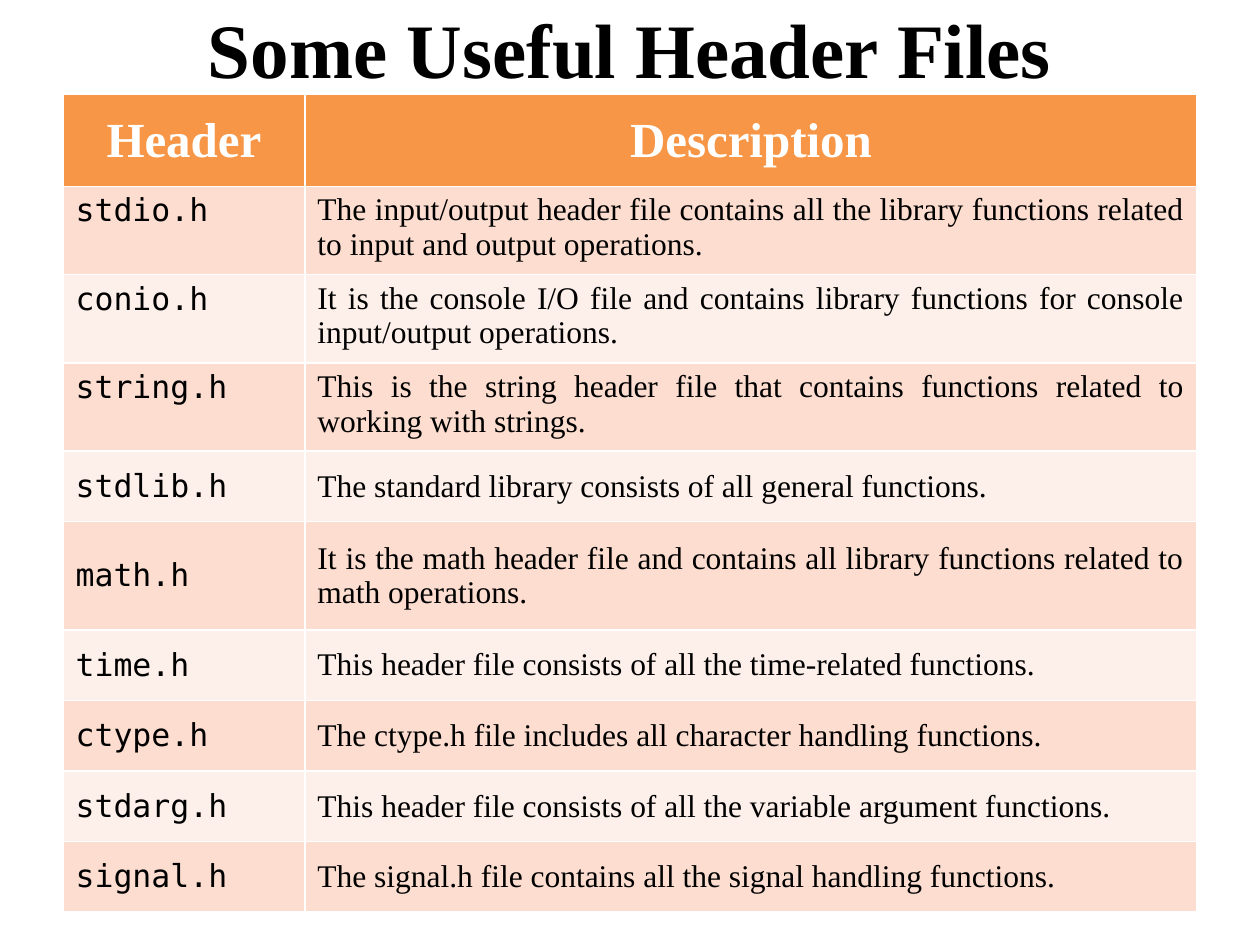
import pptx
import pptx.util
import pptx.dml.color
import pptx.enum.text

Inches = pptx.util.Inches
Pt = pptx.util.Pt
RGBColor = pptx.dml.color.RGBColor
PP_ALIGN = pptx.enum.text.PP_ALIGN
MSO_ANCHOR = pptx.enum.text.MSO_ANCHOR

BLACK = RGBColor(0x00, 0x00, 0x00)
WHITE = RGBColor(0xFF, 0xFF, 0xFF)
ORANGE = RGBColor(0xF7, 0x96, 0x46)
PEACH = RGBColor(0xFC, 0xDD, 0xCF)
PALE_PEACH = RGBColor(0xFD, 0xEF, 0xE9)
SERIF = "Times New Roman"
MONO = "DejaVu Sans Mono"

HEADER_FILES = [
    ("Header", "Description", 0.73),
    ("stdio.h", "The input/output header file contains all the library functions related to input and output operations.", 0.7),
    ("conio.h", "It is the console I/O file and contains library functions for console input/output operations.", 0.7),
    ("string.h", "This is the string header file that contains functions related to working with strings.", 0.7),
    ("stdlib.h", "The standard library consists of all general functions.", 0.56),
    ("math.h", "It is the math header file and contains all library functions related to math operations.", 0.86),
    ("time.h", "This header file consists of all the time-related functions.", 0.56),
    ("ctype.h", "The ctype.h file includes all character handling functions.", 0.56),
    ("stdarg.h", "This header file consists of all the variable argument functions.", 0.56),
    ("signal.h", "The signal.h file contains all the signal handling functions.", 0.56),
]
TOP_ANCHORED_ROWS = (1, 2, 3)


def format_paragraph(paragraph, alignment, font_name, size, color, bold):
    paragraph.alignment = alignment
    for run in paragraph.runs:
        run.font.name = font_name
        run.font.size = Pt(size)
        run.font.color.rgb = color
        run.font.bold = bold


presentation = pptx.Presentation()
presentation.slide_width = Inches(10)
presentation.slide_height = Inches(7.5)
slide = presentation.slides.add_slide(presentation.slide_layouts[5])

title = slide.shapes.title
title.left, title.top = Inches(0.5), Inches(-0.25)
title.width, title.height = Inches(9), Inches(1.25)
title.text_frame.text = "Some Useful Header Files"
title.text_frame.vertical_anchor = MSO_ANCHOR.MIDDLE
format_paragraph(title.text_frame.paragraphs[0], PP_ALIGN.CENTER, SERIF, 44, BLACK, True)

table_height = sum(height for _, _, height in HEADER_FILES)
header_table = slide.shapes.add_table(
    len(HEADER_FILES), 2, Inches(0.5), Inches(0.75), Inches(9), Inches(table_height)
).table
header_table.columns[0].width = Inches(1.92)
header_table.columns[1].width = Inches(7.08)

for row, (header, description, height) in enumerate(HEADER_FILES):
    header_table.rows[row].height = Inches(height)
    for column, wording in enumerate((header, description)):
        cell = header_table.cell(row, column)
        cell.text_frame.text = wording
        cell.fill.solid()
        paragraph = cell.text_frame.paragraphs[0]
        if row == 0:
            cell.fill.fore_color.rgb = ORANGE
            format_paragraph(paragraph, PP_ALIGN.CENTER, SERIF, 28, WHITE, True)
        else:
            cell.fill.fore_color.rgb = PEACH if row % 2 else PALE_PEACH
            font_name = SERIF if column else MONO
            format_paragraph(paragraph, PP_ALIGN.JUSTIFY, font_name, 18, BLACK, False)
        if row not in TOP_ANCHORED_ROWS:
            cell.vertical_anchor = MSO_ANCHOR.MIDDLE
            cell.margin_top = cell.margin_bottom = Inches(0.13)

presentation.save("out.pptx")
